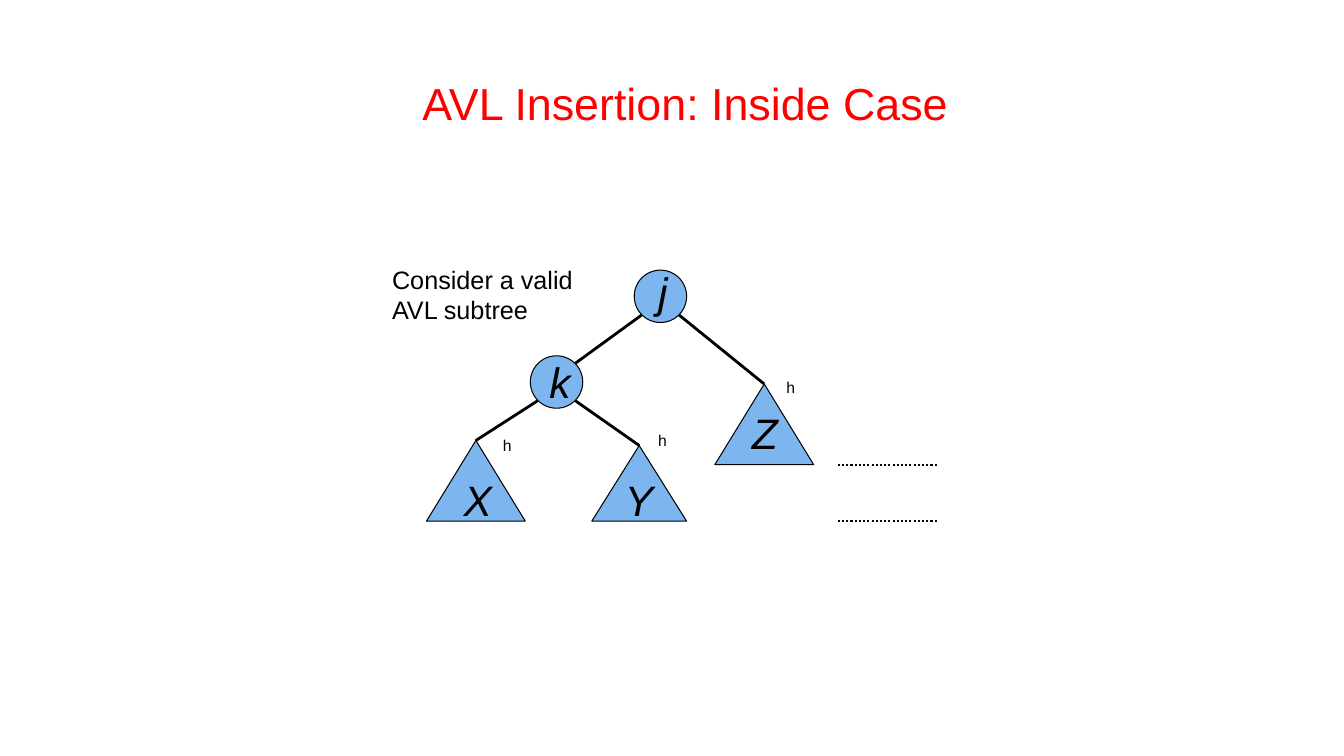
"""Build the slide that shows a valid AVL subtree before an inside insertion."""
from dataclasses import dataclass
from math import sqrt

from lxml import etree
from pptx import Presentation
from pptx.dml.color import RGBColor
from pptx.enum.dml import MSO_LINE
from pptx.enum.shapes import MSO_CONNECTOR, MSO_SHAPE
from pptx.enum.text import MSO_ANCHOR, MSO_AUTO_SIZE, PP_ALIGN
from pptx.oxml.ns import qn
from pptx.shapes.autoshape import Shape
from pptx.slide import Slide
from pptx.util import Inches, Pt

OVAL = MSO_SHAPE.OVAL
TRIANGLE = MSO_SHAPE.ISOSCELES_TRIANGLE
STRAIGHT = MSO_CONNECTOR.STRAIGHT
DOTTED = MSO_LINE.ROUND_DOT
MIDDLE = MSO_ANCHOR.MIDDLE
FIT_SHAPE = MSO_AUTO_SIZE.SHAPE_TO_FIT_TEXT
CENTER = PP_ALIGN.CENTER

COLUMNS, ROWS = 133.3, 75
SLIDE_WIDTH, SLIDE_HEIGHT = Inches(13.33), Inches(7.5)
FONT = "Arial"
BLACK, RED, BLUE = "000000", "FF0000", "7DB6EF"
DIAMETER = 5.2
LETTER_SIZE = (3.1, 6.1)
HEIGHT_SIZE = (2.9, 2.9)

Point = tuple[float, float]


@dataclass(frozen=True)
class Node:
    """A circular tree node; places are in grid columns and rows."""
    name: str
    corner: Point
    letter: Point

    def diagonal(self, right: int, down: int) -> Point:
        """Return the point of the rim in a diagonal direction."""
        radius = DIAMETER / 2
        reach = radius / sqrt(2)
        column, row = self.corner
        return column + radius + right * reach, row + radius + down * reach


@dataclass(frozen=True)
class Subtree:
    """A triangular subtree with its letter and height label."""
    name: str
    corner: Point
    size: Point
    letter: Point
    height_label: Point

    @property
    def apex(self) -> Point:
        """Return the top point of the triangle."""
        return self.corner[0] + self.size[0] / 2, self.corner[1]

    @property
    def base(self) -> float:
        """Return the row of the bottom side."""
        return self.corner[1] + self.size[1]


J = Node("j", (62.9, 26.8), (64.3, 25.9))
K = Node("k", (52.6, 35.3), (53.5, 34.8))
X = Subtree("X", (42.3, 43.7), (9.8, 8), (45, 46.5), (48.9, 42.7))
Y = Subtree("Y", (58.7, 44.2), (9.4, 7.5), (61, 46.5), (64.3, 42.2))
Z = Subtree("Z", (70.9, 38.1), (9.8, 8), (73.6, 39.9), (77, 37))
EDGES = [
    (J.diagonal(-1, 1), K.diagonal(1, -1)),
    (J.diagonal(1, 1), Z.apex),
    (K.diagonal(-1, 1), X.apex),
    (K.diagonal(1, 1), Y.apex),
]


def horizontal(columns: float) -> int:
    """Convert grid columns to a slide length."""
    return round(SLIDE_WIDTH * columns / COLUMNS)


def vertical(rows: float) -> int:
    """Convert grid rows to a slide length."""
    return round(SLIDE_HEIGHT * rows / ROWS)


def frame(corner: Point, size: Point) -> tuple[int, int, int, int]:
    """Convert a grid rectangle to left, top, width and height."""
    return horizontal(corner[0]), vertical(corner[1]), horizontal(size[0]), vertical(size[1])


def color(value: str) -> RGBColor:
    """Convert a hex string to a colour."""
    return RGBColor.from_string(value)


def add_outline(slide: Slide, kind: MSO_SHAPE, corner: Point, size: Point) -> None:
    """Add a blue shape with a thin black line."""
    shape = slide.shapes.add_shape(kind, *frame(corner, size))
    shape.shadow.inherit = False
    shape.fill.solid()
    shape.fill.fore_color.rgb = color(BLUE)
    shape.line.color.rgb = color(BLACK)
    shape.line.width = Pt(0.75)


def add_line(slide: Slide, start: Point, end: Point, width: float, dotted: bool = False) -> None:
    """Add a black line between two grid points."""
    line = slide.shapes.add_connector(STRAIGHT, horizontal(start[0]), vertical(start[1]),
                                      horizontal(end[0]), vertical(end[1]))
    line.line.color.rgb = color(BLACK)
    line.line.width = Pt(width)
    if dotted:
        line.line.dash_style = DOTTED
    etree.SubElement(line._element.spPr, qn("a:effectLst"))


def add_text(slide: Slide, lines: list[str], corner: Point, size: Point, points: float,
             hue: str = BLACK, italic: bool = False, wrap: bool = False) -> Shape:
    """Add a text box with one paragraph per line."""
    box = slide.shapes.add_textbox(*frame(corner, size))
    text_frame = box.text_frame
    text_frame.word_wrap = wrap
    text_frame.auto_size = FIT_SHAPE
    for index, line in enumerate(lines):
        paragraph = text_frame.add_paragraph() if index else text_frame.paragraphs[0]
        run = paragraph.add_run()
        run.text = line
        run.font.name = FONT
        run.font.size = Pt(points)
        run.font.italic = italic
        run.font.color.rgb = color(hue)
    return box


def add_title(slide: Slide) -> None:
    """Add the centred red title."""
    title = add_text(slide, ["AVL Insertion: Inside Case "], (39.5, 7.6), (58.2, 5.1),
                     32, hue=RED, wrap=True)
    text_frame = title.text_frame
    text_frame.auto_size = MSO_AUTO_SIZE.NONE
    text_frame.vertical_anchor = MIDDLE
    text_frame.margin_left = text_frame.margin_right = Inches(0.06)
    text_frame.margin_top = text_frame.margin_bottom = Inches(0.03)
    text_frame.paragraphs[0].alignment = CENTER


def add_tree(slide: Slide) -> None:
    """Add the nodes, subtrees, edges and depth lines."""
    for start, end in EDGES:
        add_line(slide, start, end, 2)
    for node in (J, K):
        add_outline(slide, OVAL, node.corner, (DIAMETER, DIAMETER))
    for subtree in (X, Y, Z):
        add_outline(slide, TRIANGLE, subtree.corner, subtree.size)
        add_text(slide, ["h"], subtree.height_label, HEIGHT_SIZE, 11.2)
    for part in (J, K, X, Y, Z):
        add_text(slide, [part.name], part.letter, LETTER_SIZE, 30.4, italic=True, wrap=True)
    for base in (Z.base, X.base):
        add_line(slide, (83.1, base), (92.9, base), 1.5, dotted=True)


def main() -> None:
    """Create and save the presentation."""
    presentation = Presentation()
    presentation.slide_width, presentation.slide_height = SLIDE_WIDTH, SLIDE_HEIGHT
    slide = presentation.slides.add_slide(presentation.slide_layouts[6])
    add_tree(slide)
    add_text(slide, ["Consider a valid", "AVL subtree"], (37.9, 25.7), (19.9, 7.1), 18)
    add_title(slide)
    presentation.save("out.pptx")


if __name__ == "__main__":
    main()
